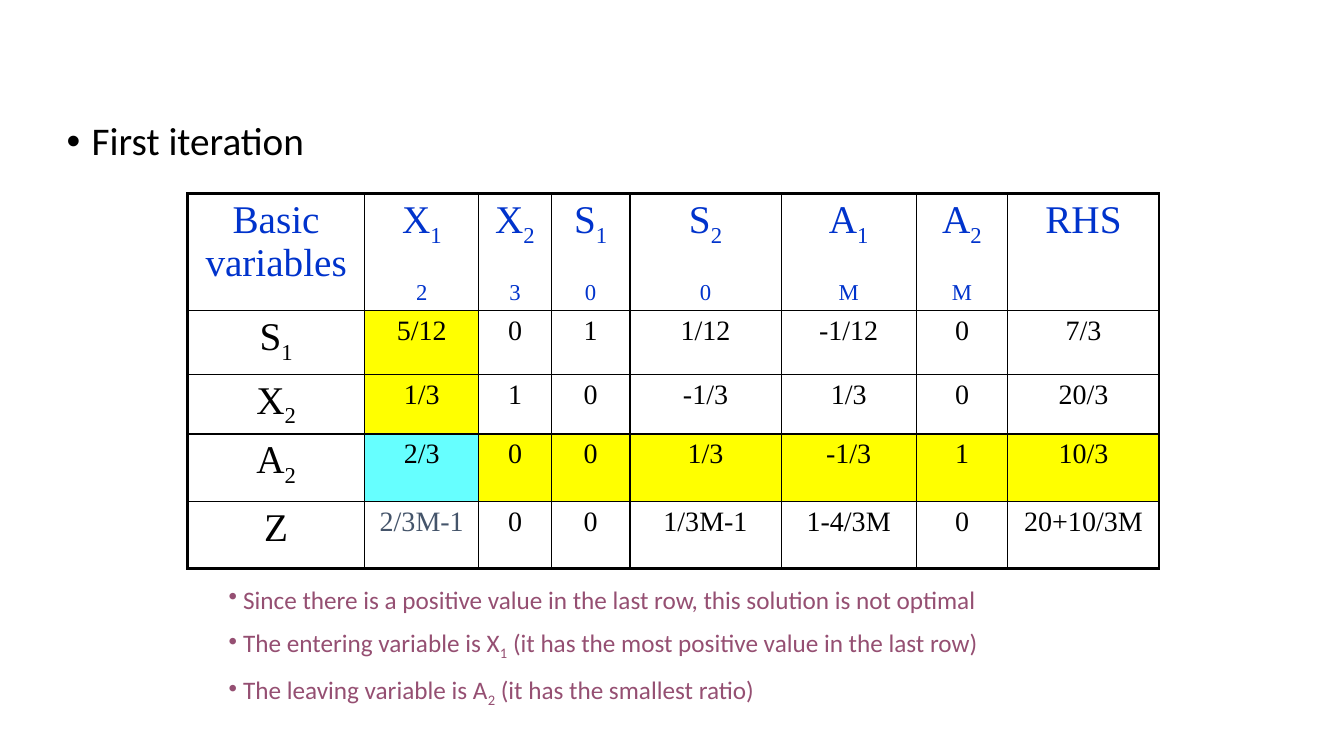
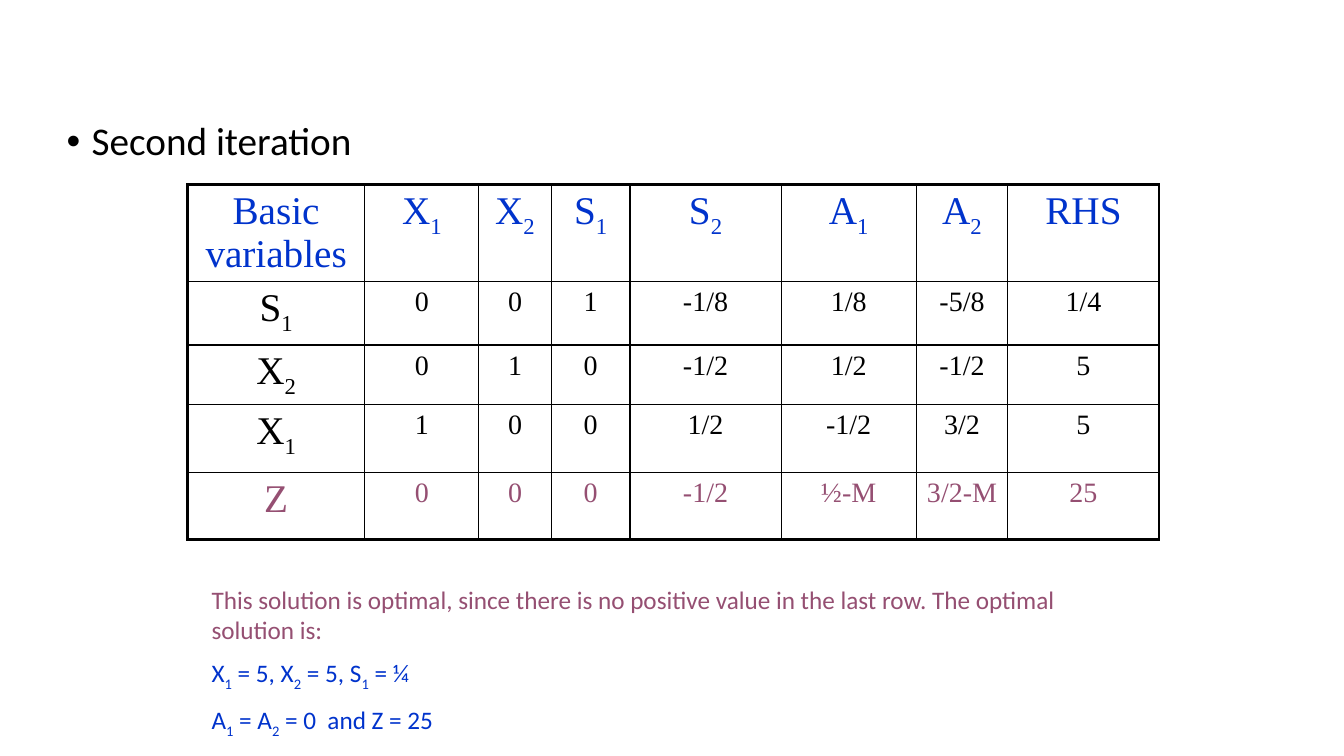
"""Build two slides showing the simplex tableaux of a Big M problem."""
from lxml.etree import SubElement
from pptx import Presentation
from pptx.dml.color import RGBColor
from pptx.enum.text import PP_ALIGN
from pptx.oxml import parse_xml
from pptx.oxml.ns import nsdecls, qn
from pptx.util import Pt

BLACK = RGBColor(0x00, 0x00, 0x00)
BLUE = RGBColor(0x00, 0x33, 0xCC)
MAUVE = RGBColor(0x95, 0x4F, 0x72)
SLATE = RGBColor(0x44, 0x54, 0x6A)
YELLOW = RGBColor(0xFF, 0xFF, 0x00)
CYAN = RGBColor(0x66, 0xFF, 0xFF)

HEADING = {"name": "Calibri", "size": Pt(28)}
NOTE = {"name": "Calibri", "size": Pt(18)}
LABEL = {"name": "Times New Roman", "size": Pt(28)}
VALUE = {"name": "Times New Roman", "size": Pt(20)}

COLUMN_WIDTHS = [126.7, 81.4, 51.8, 56.2, 108, 96.5, 65.5, 108]
ROW_HEIGHTS = [67, 45.4, 42.5, 48.2, 48.2]
LAST_ROW = len(ROW_HEIGHTS) - 1
LAST_COLUMN = len(COLUMN_WIDTHS) - 1
THIN, THICK = Pt(1), Pt(2.25)

ITERATIONS = [
    {
        "heading": "First iteration",
        "table_top": 138.2,
        "rows": [
            ["Basic variables", "X_1\n_2", "X_2\n_3", "S_1\n_0", "S_2\n_0", "A_1\n_M", "A_2\n_M", "RHS"],
            ["S_1", "5/12", "0", "1", "1/12", "-1/12", "0", "7/3"],
            ["X_2", "1/3", "1", "0", "-1/3", "1/3", "0", "20/3"],
            ["A_2", "2/3", "0", "0", "1/3", "-1/3", "1", "10/3"],
            ["Z", "2/3M-1", "0", "0", "1/3M-1", "1-4/3M", "0", "20+10/3M"],
        ],
        "fills": {(1, 1): YELLOW, (2, 1): YELLOW, (3, 1): CYAN}
        | {(3, column): YELLOW for column in range(2, LAST_COLUMN + 1)},
        "text_colors": {(LAST_ROW, 1): SLATE},
        "note_box": (156.2, 414, 635.8, 93.6),
        "bullet": "•",
        "notes": [
            (" Since there is a positive value in the last row, this solution is not optimal", MAUVE),
            (" The entering variable is X_1 (it has the most positive value in the last row)", MAUVE),
            (" The leaving variable is A_2 (it has the smallest ratio)", MAUVE),
        ],
    },
    {
        "heading": "Second iteration",
        "table_top": 131.8,
        "rows": [
            ["Basic variables", "X_1", "X_2", "S_1", "S_2", "A_1", "A_2", "RHS"],
            ["S_1", "0", "0", "1", "-1/8", "1/8", "-5/8", "1/4"],
            ["X_2", "0", "1", "0", "-1/2", "1/2", "-1/2", "5"],
            ["X_1", "1", "0", "0", "1/2", "-1/2", "3/2", "5"],
            ["Z", "0", "0", "0", "-1/2", "½-M", "3/2-M", "25"],
        ],
        "fills": {},
        "text_colors": {(LAST_ROW, column): MAUVE for column in range(LAST_COLUMN + 1)},
        "note_box": (144, 414, 653.8, 115.2),
        "bullet": None,
        "notes": [
            ("This solution is optimal, since there is no positive value in the last row."
             " The optimal solution is:", MAUVE),
            ("X_1 = 5, X_2 = 5, S_1 = ¼", BLUE),
            ("A_1 = A_2 = 0  and Z = 25", BLUE),
        ],
    },
]


def write(text_frame, lines, font_format, percent_before=None, bullet=None, alignment=None):
    """Write (text, colour) lines; an underscore lowers the next character."""
    for number, (text, color) in enumerate(lines):
        paragraph = text_frame.add_paragraph() if number else text_frame.paragraphs[0]
        paragraph.alignment = alignment
        properties = paragraph._p.get_or_add_pPr()
        if percent_before:
            spacing = SubElement(properties, qn("a:spcBef"))
            SubElement(spacing, qn("a:spcPct")).set("val", str(percent_before * 1000))
        if bullet:
            SubElement(properties, qn("a:buChar")).set("char", bullet)
        first, *others = text.split("_")
        pieces = [(first, False)]
        for other in others:
            pieces += [(other[0], True), (other[1:], False)]
        for piece, lowered in pieces:
            if not piece:
                continue
            run = paragraph.add_run()
            run.text = piece
            for attribute, value in font_format.items():
                setattr(run.font, attribute, value)
            run.font.color.rgb = color
            if lowered:
                run._r.get_or_add_rPr().set("baseline", "-25000")


def draw_borders(cell, widths):
    """Draw black cell borders from widths keyed by side."""
    properties = cell._tc.get_or_add_tcPr()
    for side, width in widths.items():
        properties.append(parse_xml(
            f'<a:ln{side} {nsdecls("a")} w="{width}"><a:solidFill>'
            f'<a:srgbClr val="{BLACK}"/></a:solidFill></a:ln{side}>'))


presentation = Presentation()
presentation.slide_width = Pt(960)
presentation.slide_height = Pt(540)

for iteration in ITERATIONS:
    slide = presentation.slides.add_slide(presentation.slide_layouts[1])
    title = slide.shapes.title
    title._element.getparent().remove(title._element)

    body = slide.placeholders[1]
    body.left, body.top, body.width, body.height = Pt(40.3), Pt(83.5), Pt(450.7), Pt(388.8)
    write(body.text_frame, [(iteration["heading"], BLACK)], HEADING)
    heading = body.text_frame.paragraphs[0]
    heading.line_spacing = 0.9
    heading.space_before = Pt(10)
    heading_properties = heading._p.get_or_add_pPr()
    heading_properties.set("marL", str(Pt(18)))
    heading_properties.set("indent", str(Pt(-18)))

    table = slide.shapes.add_table(
        len(ROW_HEIGHTS), len(COLUMN_WIDTHS), Pt(133.9), Pt(iteration["table_top"]),
        Pt(sum(COLUMN_WIDTHS)), Pt(sum(ROW_HEIGHTS))).table
    table.first_row = False
    table.horz_banding = False
    for column, width in zip(table.columns, COLUMN_WIDTHS):
        column.width = Pt(width)
    for row, height in zip(table.rows, ROW_HEIGHTS):
        row.height = Pt(height)

    for row_index, texts in enumerate(iteration["rows"]):
        for column_index, text in enumerate(texts):
            cell = table.cell(row_index, column_index)
            position = (row_index, column_index)
            base_color = BLACK if row_index else BLUE
            color = iteration["text_colors"].get(position, base_color)
            font_format = VALUE if row_index and column_index else LABEL
            write(cell.text_frame, [(line, color) for line in text.split("\n")],
                  font_format, percent_before=20, alignment=PP_ALIGN.CENTER)
            draw_borders(cell, {
                "L": THIN if column_index else THICK,
                "R": THICK if column_index == LAST_COLUMN else THIN,
                "T": THIN if row_index else THICK,
                "B": THICK if row_index == LAST_ROW else THIN,
            })
            if position in iteration["fills"]:
                cell.fill.solid()
                cell.fill.fore_color.rgb = iteration["fills"][position]
            else:
                cell.fill.background()

    note_box = slide.shapes.add_textbox(*map(Pt, iteration["note_box"]))
    note_box.text_frame.word_wrap = True
    write(note_box.text_frame, iteration["notes"], NOTE,
          percent_before=50, bullet=iteration["bullet"])

presentation.save("out.pptx")
